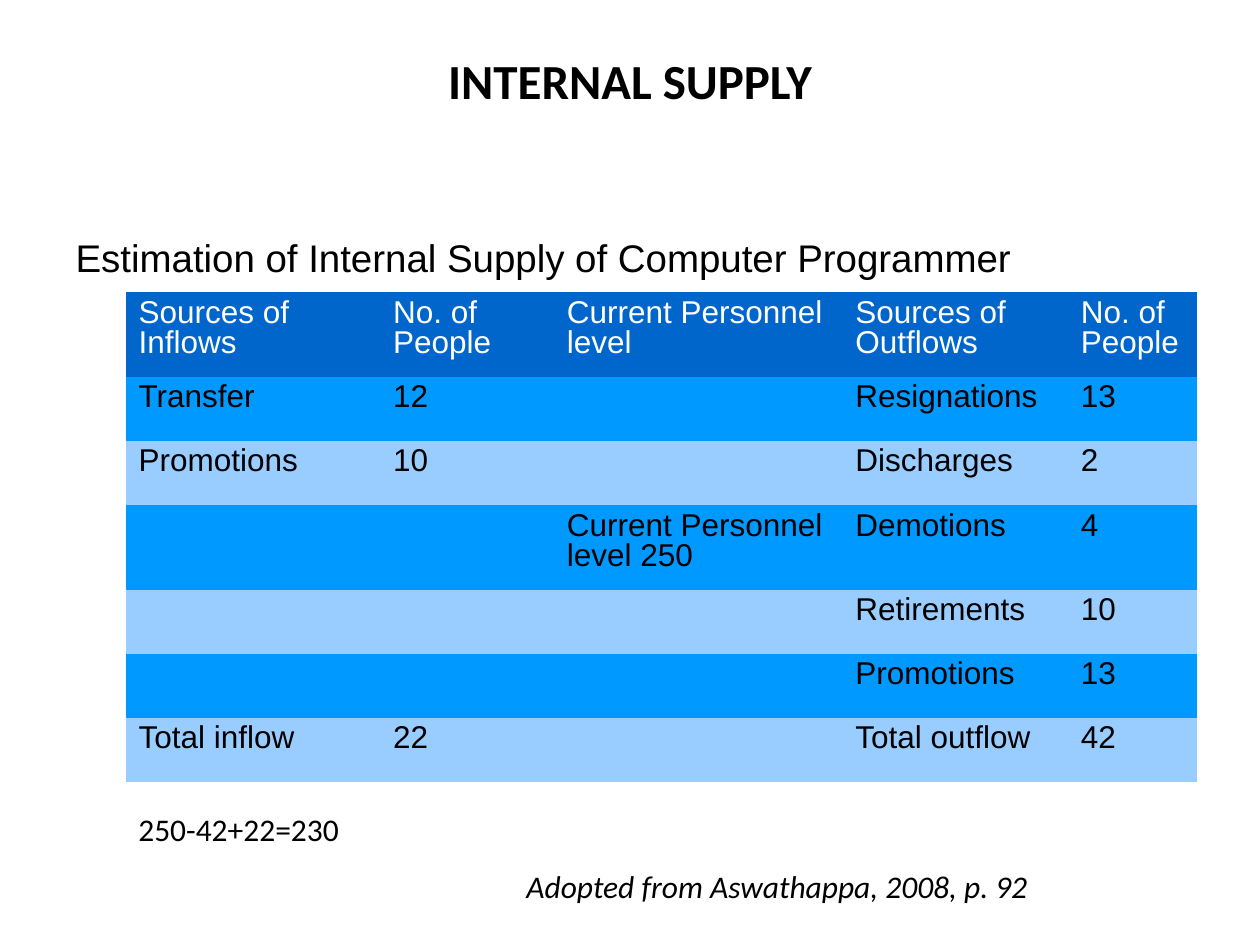
from lxml import etree
from pptx import Presentation
from pptx.dml.color import RGBColor
from pptx.enum.text import MSO_ANCHOR, MSO_AUTO_SIZE, PP_ALIGN
from pptx.oxml.ns import qn
from pptx.util import Inches, Pt

TOP = MSO_ANCHOR.TOP
FIXED = MSO_AUTO_SIZE.NONE
GROW = MSO_AUTO_SIZE.SHAPE_TO_FIT_TEXT
LEFT = PP_ALIGN.LEFT
CENTER = PP_ALIGN.CENTER

COLORS = {
    "text": "000000",
    "light": "FFFFFF",
    "head": "0066CC",
    "odd": "0099FF",
    "even": "99CCFF",
}
FONTS = {
    "title": {"name": "Calibri", "size": Pt(28), "bold": True},
    "body": {"name": "Arial", "size": Pt(22)},
    "cell": {"name": "Arial", "size": Pt(18), "bold": False},
    "sum": {"name": "Calibri", "size": Pt(18)},
    "source": {"name": "Calibri", "size": Pt(18), "italic": True},
}
PLAIN_GRID = "{2D5ABB26-0587-4C30-8999-92F81FD0307C}"
COLS = [2.02, 1.38, 2.29, 1.79, 1.02]
TALL, SHORT = 0.67, 0.51
ROWS = [
    ["Sources of Inflows", "No. of People", "Current Personnel level",
     "Sources of Outflows", "No. of People"],
    ["Transfer", "12", "", "Resignations", "13"],
    ["Promotions", "10", "", "Discharges", "2"],
    ["", "", "Current Personnel level 250", "Demotions", "4"],
    ["", "", "", "Retirements", "10"],
    ["", "", "", "Promotions", "13"],
    ["Total inflow", "22", "", "Total outflow", "42"],
]


def style(item, values):
    """Set each named attribute on the item."""
    for name, value in values.items():
        setattr(item, name, value)


def write(para, text, font, color="text", **layout):
    """Put one formatted run in a paragraph."""
    style(para, layout)
    run = para.add_run()
    run.text = text
    style(run.font, FONTS[font])
    run.font.color.rgb = RGBColor.from_string(COLORS[color])


def frame(shape, box, top=0.1, fit=FIXED):
    """Place a shape, set its text frame and return the first paragraph."""
    sides = ("left", "top", "width", "height")
    style(shape, dict(zip(sides, map(Inches, box))))
    style(shape.text_frame, {
        "word_wrap": True,
        "auto_size": fit,
        "vertical_anchor": TOP,
        "margin_left": Inches(0.1),
        "margin_right": Inches(0.1),
        "margin_top": Inches(top),
        "margin_bottom": Inches(0.05),
    })
    return shape.text_frame.paragraphs[0]


def add_title(slide, text):
    """Fill the title placeholder."""
    para = frame(slide.shapes.title, (0.5, 0.3, 9, 1.4))
    write(para, text, "title", alignment=CENTER)


def add_body(slide, text):
    """Fill the body placeholder with a line that has no bullet."""
    para = frame(slide.placeholders[1], (0.5, 1.75, 9, 5))
    props = para._p.get_or_add_pPr()
    props.set("marL", "0")
    props.set("indent", "0")
    etree.SubElement(props, qn("a:buNone"))
    write(para, text, "body", alignment=LEFT, line_spacing=1.02,
          space_before=Pt(0), space_after=Pt(14.3))


def add_note(slide, text, box, font, **layout):
    """Add a text box with one line."""
    shape = slide.shapes.add_textbox(*map(Inches, box))
    write(frame(shape, box, **layout), text, font)


def add_grid(slide):
    """Add the table of inflows and outflows."""
    table = slide.shapes.add_table(
        len(ROWS), len(COLS), *map(Inches, (1, 2.32, 8.5, 3.9))).table
    table._tbl.tblPr.find(qn("a:tableStyleId")).text = PLAIN_GRID
    for col, width in zip(table.columns, COLS):
        col.width = Inches(width)
    for i, texts in enumerate(ROWS):
        wraps = any(len(text) > 15 for text in texts)
        table.rows[i].height = Inches(TALL if wraps else SHORT)
        shade = "head" if i == 0 else "odd" if i % 2 else "even"
        for j, text in enumerate(texts):
            cell = table.cell(i, j)
            cell.fill.solid()
            cell.fill.fore_color.rgb = RGBColor.from_string(COLORS[shade])
            if text:
                write(cell.text_frame.paragraphs[0], text, "cell",
                      "text" if i else "light", line_spacing=0.87)


def main():
    """Build and save the slide."""
    deck = Presentation()
    style(deck, {"slide_width": Inches(10), "slide_height": Inches(7.5)})
    slide = deck.slides.add_slide(deck.slide_layouts[1])
    add_body(slide, "Estimation of Internal Supply of Computer Programmer")
    add_title(slide, "INTERNAL SUPPLY")
    add_grid(slide)
    add_note(slide, "Adopted from Aswathappa, 2008, p. 92",
             (4.08, 6.83, 5.5, 0.38), "source", top=0.05)
    add_note(slide, "250-42+22=230", (1, 6.33, 4.83, 0.45), "sum", fit=GROW)
    deck.save("out.pptx")


if __name__ == "__main__":
    main()
